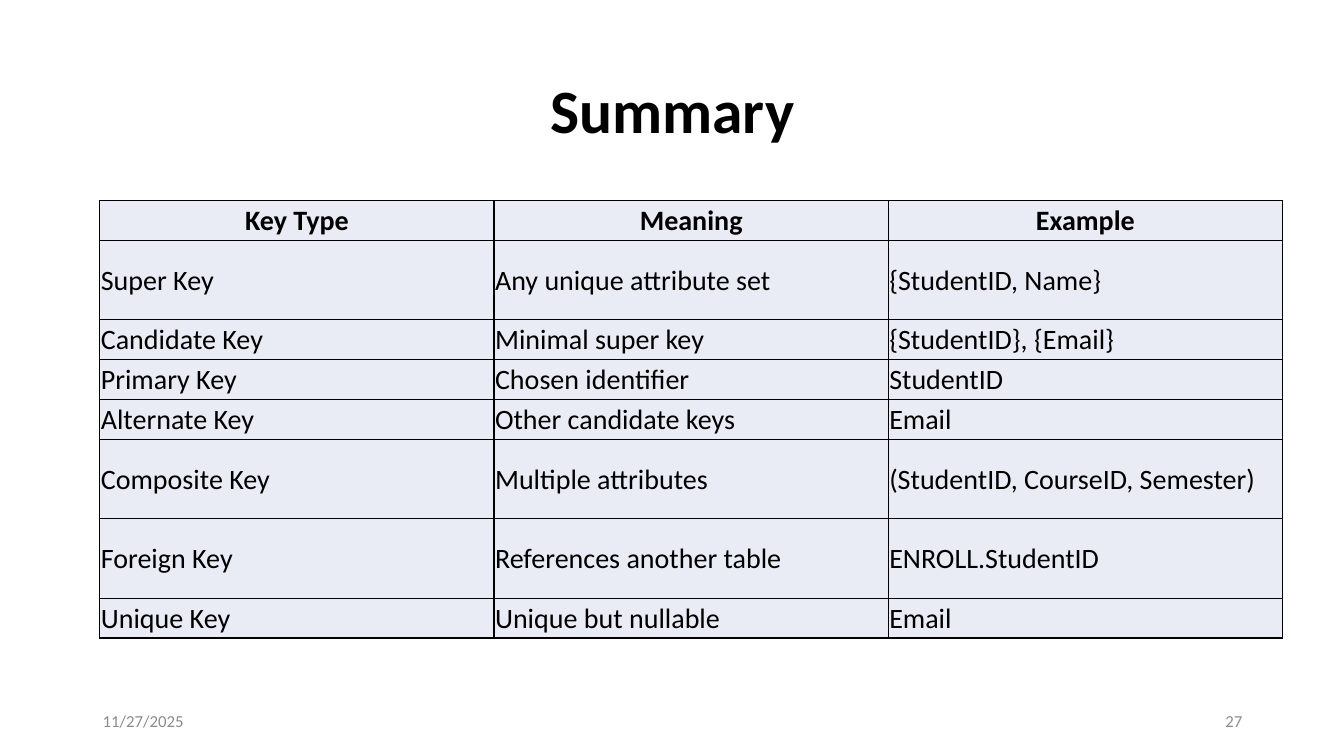
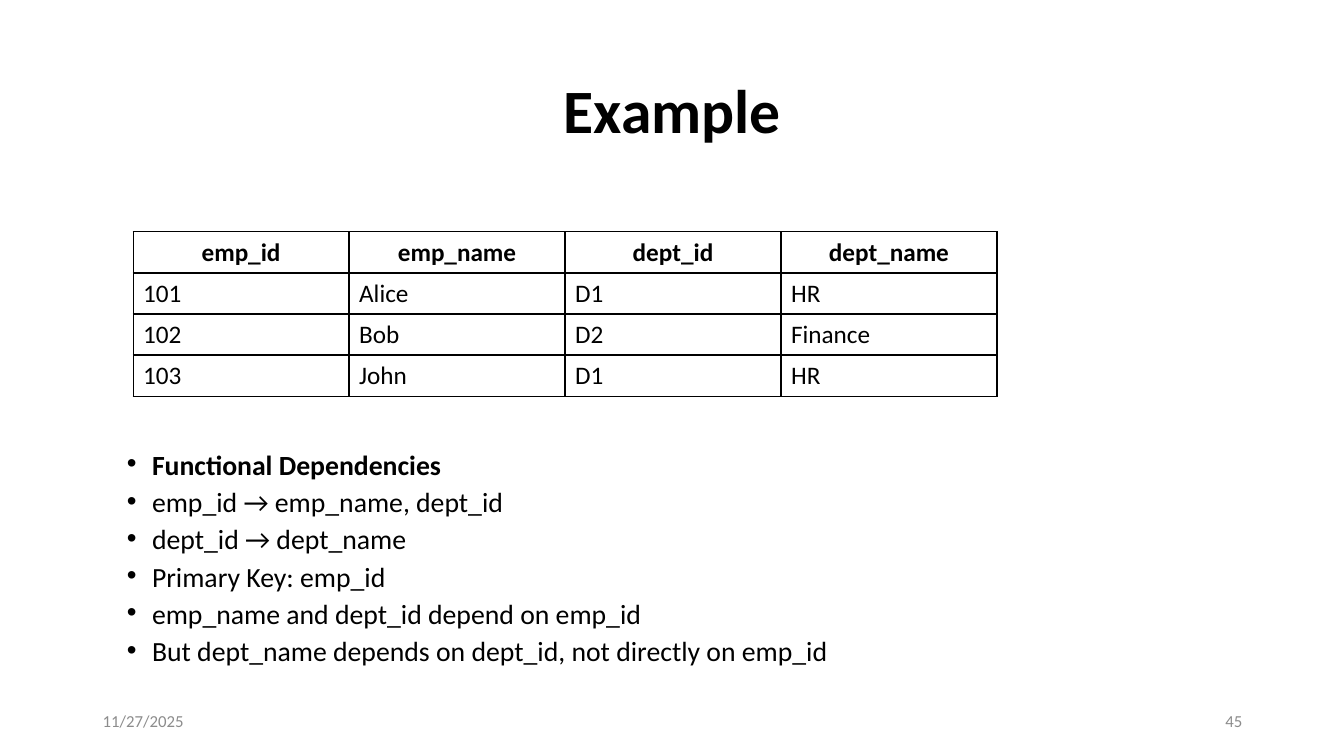
from dataclasses import dataclass
from typing import Optional

import lxml.etree
import pptx
import pptx.dml.color
import pptx.enum.text
import pptx.oxml.ns
import pptx.slide
import pptx.table
import pptx.text.text
import pptx.util

Inches = pptx.util.Inches
Align = pptx.enum.text.PP_ALIGN
Anchor = pptx.enum.text.MSO_ANCHOR

BLACK = pptx.dml.color.RGBColor(0x00, 0x00, 0x00)
FOOTER_GRAY = pptx.dml.color.RGBColor(0x8C, 0x8C, 0x8C)
KEY_FILL = pptx.dml.color.RGBColor(0xE9, 0xEB, 0xF5)

FONT = "Calibri"
TITLE_ONLY = 5
MARGIN_LEFT = 0.92
CONTENT_WIDTH = 11.5
FOOTER_WIDTH = 3
DATE = "11/27/2025"


@dataclass(frozen=True)
class Box:
    left: float
    top: float
    width: float
    height: float

    def lengths(self) -> tuple[int, int, int, int]:
        return Inches(self.left), Inches(self.top), Inches(self.width), Inches(self.height)


@dataclass(frozen=True)
class Insets:
    left: float
    right: float
    top: float
    bottom: float


@dataclass(frozen=True)
class Grid:
    box: Box
    rows: list[tuple[str, ...]]
    row_units: list[int]
    size: float
    fill: Optional[pptx.dml.color.RGBColor] = None
    insets: Insets = Insets(0.1, 0.1, 0.05, 0.05)


TITLE_BOX = Box(MARGIN_LEFT, 0.4, CONTENT_WIDTH, 1.45)
DATE_BOX = Box(MARGIN_LEFT, 6.95, FOOTER_WIDTH, 0.4)
NUMBER_BOX = Box(MARGIN_LEFT + CONTENT_WIDTH - FOOTER_WIDTH, 6.95, FOOTER_WIDTH, 0.4)

KEY_GRID = Grid(
    box=Box(0.99, 1.99, 11.73, 4.34),
    rows=[
        ("Key Type", "Meaning", "Example"),
        ("Super Key", "Any unique attribute set", "{StudentID, Name}"),
        ("Candidate Key", "Minimal super key", "{StudentID}, {Email}"),
        ("Primary Key", "Chosen identifier", "StudentID"),
        ("Alternate Key", "Other candidate keys", "Email"),
        ("Composite Key", "Multiple attributes", "(StudentID, CourseID, Semester)"),
        ("Foreign Key", "References another table", "ENROLL.StudentID"),
        ("Unique Key", "Unique but nullable", "Email"),
    ],
    row_units=[1, 2, 1, 1, 1, 2, 2, 1],
    size=20,
    fill=KEY_FILL,
    insets=Insets(0.01, 0.01, 0.01, 0),
)

EMPLOYEE_GRID = Grid(
    box=Box(1.32, 2.3, 8.57, 1.63),
    rows=[
        ("emp_id", "emp_name", "dept_id", "dept_name"),
        ("101", "Alice", "D1", "HR"),
        ("102", "Bob", "D2", "Finance"),
        ("103", "John", "D1", "HR"),
    ],
    row_units=[1, 1, 1, 1],
    size=18,
)

DEPENDENCY_BOX = Box(1.16, 4.48, CONTENT_WIDTH, 2.22)
DEPENDENCIES = [
    "Functional Dependencies",
    "emp_id → emp_name, dept_id",
    "dept_id → dept_name",
    "Primary Key: emp_id",
    "emp_name and dept_id depend on emp_id",
    "But dept_name depends on dept_id, not directly on emp_id",
]


def add_run(
    paragraph: pptx.text.text._Paragraph,
    text: str,
    size: float,
    color: pptx.dml.color.RGBColor = BLACK,
    bold: bool = False,
) -> None:
    run = paragraph.add_run()
    run.text = text
    run.font.name = FONT
    run.font.size = pptx.util.Pt(size)
    run.font.bold = bold
    run.font.color.rgb = color


def add_footer(slide: pptx.slide.Slide, box: Box, text: str, alignment: Align) -> None:
    frame = slide.shapes.add_textbox(*box.lengths()).text_frame
    frame.word_wrap = True
    frame.vertical_anchor = Anchor.MIDDLE
    paragraph = frame.paragraphs[0]
    paragraph.alignment = alignment
    add_run(paragraph, text, 12, FOOTER_GRAY)


def add_titled_slide(
    presentation: pptx.presentation.Presentation, title: str, number: int
) -> pptx.slide.Slide:
    slide = presentation.slides.add_slide(presentation.slide_layouts[TITLE_ONLY])
    shape = slide.shapes.title
    shape.left, shape.top, shape.width, shape.height = TITLE_BOX.lengths()
    shape.text_frame.vertical_anchor = Anchor.MIDDLE
    paragraph = shape.text_frame.paragraphs[0]
    paragraph.alignment = Align.CENTER
    paragraph.line_spacing = 0.9
    add_run(paragraph, title, 44, bold=True)
    add_footer(slide, DATE_BOX, DATE, Align.LEFT)
    add_footer(slide, NUMBER_BOX, str(number), Align.RIGHT)
    return slide


def add_borders(cell: pptx.table._Cell) -> None:
    qualify = pptx.oxml.ns.qn
    properties = cell._tc.get_or_add_tcPr()
    for side in ("lnL", "lnR", "lnT", "lnB"):
        line = lxml.etree.SubElement(properties, qualify(f"a:{side}"), w=str(pptx.util.Pt(1)))
        fill = lxml.etree.SubElement(line, qualify("a:solidFill"))
        lxml.etree.SubElement(fill, qualify("a:srgbClr"), val=str(BLACK))


def format_cell(cell: pptx.table._Cell, text: str, grid: Grid, header: bool) -> None:
    add_borders(cell)
    if grid.fill is None:
        cell.fill.background()
    else:
        cell.fill.solid()
        cell.fill.fore_color.rgb = grid.fill
    cell.vertical_anchor = Anchor.MIDDLE
    cell.margin_left = Inches(grid.insets.left)
    cell.margin_right = Inches(grid.insets.right)
    cell.margin_top = Inches(grid.insets.top)
    cell.margin_bottom = Inches(grid.insets.bottom)
    paragraph = cell.text_frame.paragraphs[0]
    paragraph.alignment = Align.CENTER if header else Align.LEFT
    add_run(paragraph, text, grid.size, bold=header)


def add_grid(slide: pptx.slide.Slide, grid: Grid) -> None:
    table = slide.shapes.add_table(
        len(grid.rows), len(grid.rows[0]), *grid.box.lengths()
    ).table
    table.horz_banding = False
    unit_height = grid.box.height / sum(grid.row_units)
    for row_index, texts in enumerate(grid.rows):
        table.rows[row_index].height = Inches(unit_height * grid.row_units[row_index])
        for column_index, text in enumerate(texts):
            format_cell(table.cell(row_index, column_index), text, grid, row_index == 0)


def add_bullets(slide: pptx.slide.Slide, box: Box, lines: list[str]) -> None:
    frame = slide.shapes.add_textbox(*box.lengths()).text_frame
    frame.word_wrap = True
    for index, line in enumerate(lines):
        first = index == 0
        paragraph = frame.paragraphs[0] if first else frame.add_paragraph()
        paragraph.line_spacing = 0.7
        paragraph.space_before = pptx.util.Pt(0 if first else 10)
        properties = paragraph._p.get_or_add_pPr()
        properties.set("marL", str(Inches(0.25)))
        properties.set("indent", str(Inches(-0.25)))
        qualify = pptx.oxml.ns.qn
        lxml.etree.SubElement(properties, qualify("a:buFont"), typeface="Arial")
        lxml.etree.SubElement(properties, qualify("a:buChar"), char="•")
        add_run(paragraph, line, 19.8, bold=first)


def main() -> None:
    presentation = pptx.Presentation()
    presentation.slide_width = Inches(13.33)
    presentation.slide_height = Inches(7.5)

    summary = add_titled_slide(presentation, "Summary", 27)
    add_grid(summary, KEY_GRID)

    example = add_titled_slide(presentation, "Example", 45)
    add_grid(example, EMPLOYEE_GRID)
    add_bullets(example, DEPENDENCY_BOX, DEPENDENCIES)

    presentation.save("out.pptx")


if __name__ == "__main__":
    main()
